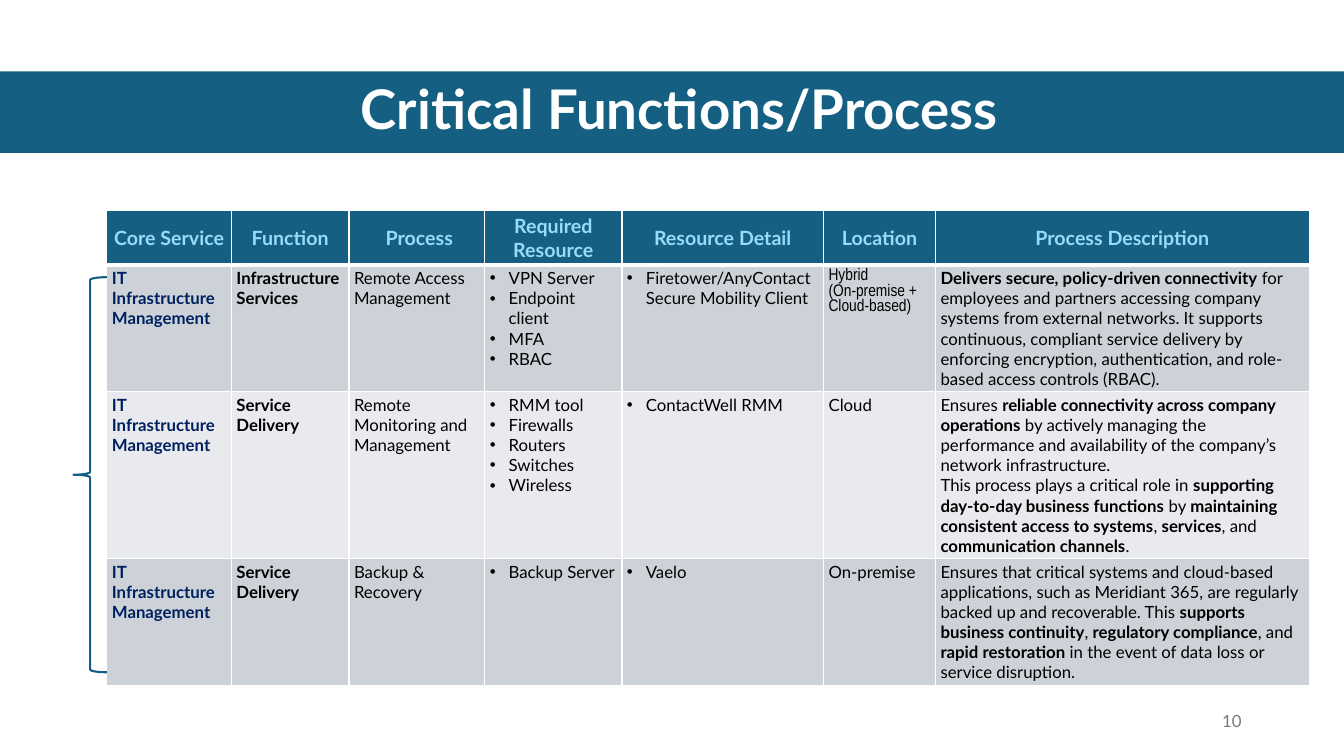
from lxml.etree import SubElement
from pptx import Presentation
from pptx.dml.color import RGBColor
from pptx.enum.shapes import MSO_SHAPE
from pptx.enum.text import MSO_ANCHOR, PP_ALIGN
from pptx.oxml.ns import qn
from pptx.util import Pt

# Content: ** switches bold, a newline breaks the line, a list is bulleted
TITLE = "Critical Functions/Process"
PAGE = "10"
HEADS = ["Core Service", "Function", " Process", "Required Resource",
         "Resource Detail", "Location", "Process Description"]
CORE = "**IT Infrastructure Management**"
HYBRID = "Hybrid \n(On-premise + Cloud-based)"
ROWS = [
    [CORE, "**Infrastructure Services**", "Remote Access Management",
     ["VPN Server", "Endpoint client", "MFA", "RBAC"],
     ["Firetower/AnyContact Secure Mobility Client"], HYBRID,
     "**Delivers secure, policy-driven connectivity** for employees and "
     "partners accessing company systems from external networks. It supports "
     "continuous, compliant service delivery by enforcing encryption, "
     "authentication, and role-based access controls (RBAC)."],
    [CORE, "**Service Delivery**", "Remote Monitoring and Management",
     ["RMM tool", "Firewalls", "Routers", "Switches", "Wireless"],
     ["ContactWell RMM"], "Cloud",
     "Ensures **reliable connectivity across company operations** by actively "
     "managing the performance and availability of the company’s network "
     "infrastructure. \nThis process plays a critical role in **supporting "
     "day-to-day business functions** by **maintaining consistent access to "
     "systems**, **services**, and **communication channels**."],
    [CORE, "**Service Delivery**", "Backup & Recovery",
     ["Backup Server"], ["Vaelo"], "On-premise",
     "Ensures that critical systems and cloud-based applications, such as "
     "Meridiant 365, are regularly backed up and recoverable. This **supports "
     "business continuity**, **regulatory compliance**, and **rapid "
     "restoration** in the event of data loss or service disruption."],
]
WIDTHS = [89, 84, 97, 98, 144, 80, 267]
HEIGHTS = [39, 90, 119, 90]
LEFT, TOP = 76.3, 150.5
TEAL, SKY, NAVY = "156082", "96DCF8", "002060"
WHITE, BLACK, GREY = "FFFFFF", "000000", "797979"
BANDS = ["CCD2D8", "E8EAED"]
FONT, NARROW = "Lato", "Arial Narrow"


def paint(color, tint):
    color.rgb = RGBColor.from_string(tint)


def write(para, text, size, tint, font=FONT):
    for n, part in enumerate(text.split("**")):
        for k, line in enumerate(part.split("\n")):
            if k:
                para.add_line_break()
            if line:
                run = para.add_run()
                run.text = line
                run.font.size, run.font.name = Pt(size), font
                run.font.bold = n % 2 == 1
                paint(run.font.color, tint)


def bullet(para):
    props = para._p.get_or_add_pPr()
    props.set("marL", str(Pt(13.5)))
    props.set("indent", str(Pt(-13.5)))
    SubElement(props, qn("a:buFont"), typeface="Arial")
    SubElement(props, qn("a:buChar"), char="•")


def border(cell, side, width):
    line = SubElement(cell._tc.get_or_add_tcPr(), qn("a:ln" + side), w=str(Pt(width)))
    fill = SubElement(line, qn("a:solidFill"))
    SubElement(fill, qn("a:srgbClr"), val=WHITE)


def style(cell, row, tint):
    cell.margin_left = cell.margin_right = Pt(3.6)
    cell.margin_top = cell.margin_bottom = Pt(2)
    cell.vertical_anchor = MSO_ANCHOR.TOP if row else MSO_ANCHOR.MIDDLE
    for side in "LRTB":
        thick = (side, row) in (("B", 0), ("T", 1))
        border(cell, side, 3 if thick else 1)
    cell.fill.solid()
    paint(cell.fill.fore_color, tint)


def label(slide, box, text, size, tint, align):
    frame = slide.shapes.add_textbox(*map(Pt, box)).text_frame
    frame.word_wrap = True
    frame.vertical_anchor = MSO_ANCHOR.MIDDLE
    para = frame.paragraphs[0]
    para.alignment = align
    write(para, text, size, tint)
    return para


def main():
    deck = Presentation()
    deck.slide_width, deck.slide_height = Pt(960), Pt(540)
    slide = deck.slides.add_slide(deck.slide_layouts[6])

    # Title band
    band = slide.shapes.add_shape(MSO_SHAPE.RECTANGLE, 0, Pt(51), Pt(960), Pt(58.3))
    band.shadow.inherit = False
    band.fill.solid()
    paint(band.fill.fore_color, TEAL)
    band.line.fill.background()
    head = label(slide, (44, 50.4, 882.7, 58.3), f"**{TITLE}**", 39, WHITE,
                 PP_ALIGN.CENTER)
    head.line_spacing = 0.9

    # Table
    table = slide.shapes.add_table(
        len(HEIGHTS), len(WIDTHS), Pt(LEFT), Pt(TOP),
        Pt(sum(WIDTHS)), Pt(sum(HEIGHTS))).table
    for col, width in zip(table.columns, WIDTHS):
        col.width = Pt(width)
    for row, height in zip(table.rows, HEIGHTS):
        row.height = Pt(height)

    for c, text in enumerate(HEADS):
        cell = table.cell(0, c)
        style(cell, 0, TEAL)
        para = cell.text_frame.paragraphs[0]
        para.alignment = PP_ALIGN.CENTER
        write(para, f"**{text}**", 14, SKY)

    for r, row in enumerate(ROWS, 1):
        for c, item in enumerate(row):
            cell = table.cell(r, c)
            style(cell, r, BANDS[(r - 1) % 2])
            frame = cell.text_frame
            listed = isinstance(item, list)
            font = NARROW if item == HYBRID else FONT
            for n, text in enumerate(item if listed else [item]):
                para = frame.add_paragraph() if n else frame.paragraphs[0]
                if listed:
                    bullet(para)
                write(para, text, 12, BLACK if c else NAVY, font)

    # Brace beside the rows
    brace = slide.shapes.add_shape(
        MSO_SHAPE.LEFT_BRACE, Pt(52.5), Pt(198), Pt(23.8), Pt(282.2))
    brace.shadow.inherit = False
    brace.fill.background()
    paint(brace.line.color, TEAL)
    brace.line.width = Pt(1.5)

    # Page number
    label(slide, (678, 500.5, 216, 28.8), PAGE, 12, GREY, PP_ALIGN.RIGHT)
    deck.save("out.pptx")


if __name__ == "__main__":
    main()
